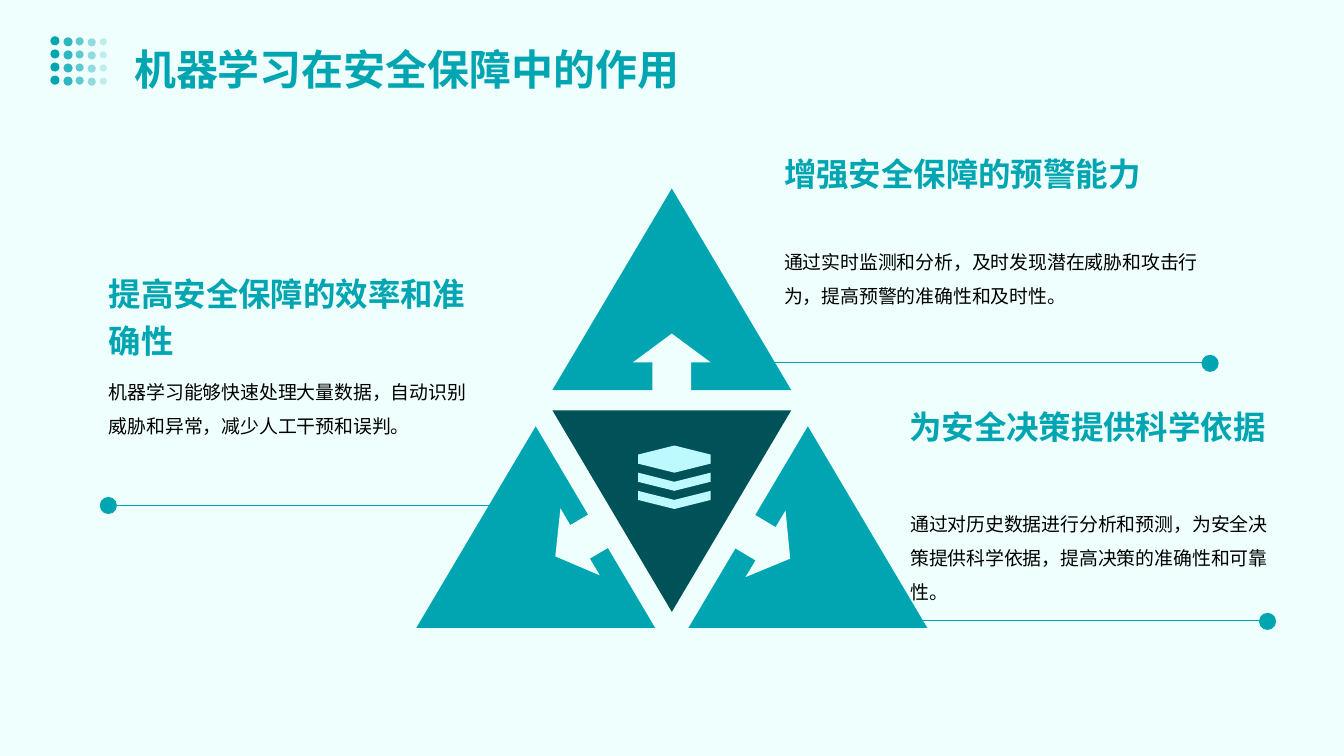
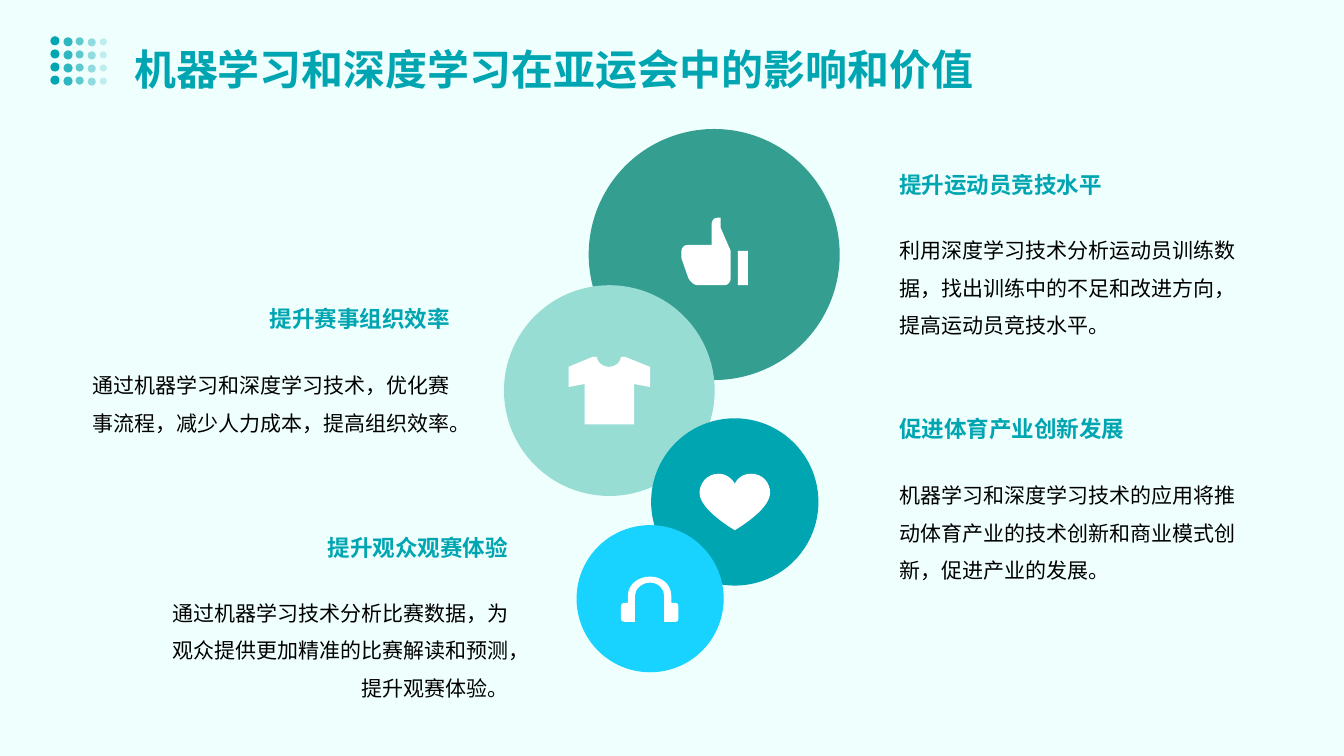
from lxml import etree
from pptx import Presentation
from pptx.dml.color import RGBColor
from pptx.enum import shapes, text
from pptx.oxml import ns
from pptx.util import Pt

PX = 9144
SLIDE_SIZE = (1333.33, 750)
MARGINS = (13, 13, 6, 13)
FONT = "Noto Sans CJK SC"
COLORS = {
    "background": "EFFFFD", "teal": "00A5B2", "dark": "005259", "ice": "BDFAFF",
    "green": "349E91", "mint": "97DDD4", "sky": "18D3FF", "white": "FFFFFF", "black": "000000",
}
STYLES = {
    "title": (30, "teal", True, 1.4),
    "large heading": (23.2, "teal", True, 1.2),
    "small body": (13.5, "black", False, 1.5),
    "heading": (16.1, "teal", True, 1.5),
    "body": (15, "black", False, 1.5),
}
OVAL = shapes.MSO_SHAPE.OVAL
TRIANGLE = shapes.MSO_SHAPE.ISOSCELES_TRIANGLE
ARROW = shapes.MSO_SHAPE.UP_ARROW

DOT_COLUMNS = [(50, 36, 9), (63, 37, 9), (75, 37, 8), (87, 38, 8), (99, 38, 7)]
DOT_ROWS, DOT_STEP = 4, 13

SECURITY_TITLE = "机器学习在安全保障中的作用"
TRIANGLE_SIZE = (237, 200)
TRIANGLES = [(683, 423), (413, 423), (548, 187)]
ARROW_SIZE = (77, 57)
ARROWS = [(628, 331, 0), (721, 511, 121), (537, 509, 239.6)]
CALLOUT_LINES = [
    ((746, 1195, 360), (1192, 352)),
    ((803, 1253, 616), (1249, 608)),
    ((99, 514, 502), (99, 493)),
]
CALLOUT_DOT = 17
SECURITY_POINTS = [
    ("增强安全保障的预警能力", (765, 132, 427, 123),
     "通过实时监测和分析，及时发现潜在威胁和攻击行为，提高预警的准确性和及时性。", (765, 224, 443, 132)),
    ("为安全决策提供科学依据", (889, 383, 381, 123),
     "通过对历史数据进行分析和预测，为安全决策提供科学依据，提高决策的准确性和可靠性。", (890, 484, 381, 132)),
    ("提高安全保障的效率和准确性", (95, 251, 381, 123),
     "机器学习能够快速处理大量数据，自动识别威胁和异常，减少人工干预和误判。", (95, 353, 381, 132)),
]
LAYERS = [
    [(633, y), (669, y + 9), (705, y), (705, y + 9), (669, y + 18), (633, y + 9)] for y in (487, 469)
] + [[(633, 451), (669, 442), (705, 451), (705, 460), (669, 469), (633, 460)]]

IMPACT_TITLE = "机器学习和深度学习在亚运会中的影响和价值"
THUMB = [
    [(712, 216), (715, 216), (715, 226), (725, 249), (725, 276), (725, 280, 722, 283, 719, 283),
     (692, 283), (689, 283, 685, 280, 683, 276), (676, 256), (676, 249),
     (676, 246, 679, 243, 682, 243), (706, 243), (706, 223), (706, 219, 708, 216, 712, 216)],
    [(732, 249), (742, 249), (742, 283), (732, 283)],
]
SHIRT = [
    [(592, 354), (588, 354), (564, 364), (564, 384), (580, 381), (580, 421), (629, 421), (629, 381),
     (645, 384), (645, 364), (620, 354), (616, 354), (616, 359, 611, 364, 604, 364),
     (598, 364, 592, 359, 592, 354)],
]
HEART = [
    [(729, 480), (729, 480, 724, 470, 713, 470), (701, 470, 694, 480, 694, 489),
     (694, 506, 729, 526, 729, 526), (729, 526, 764, 506, 764, 489),
     (764, 479, 757, 470, 745, 470), (733, 470, 729, 480, 729, 480)],
]
HEADPHONES = [
    [(670, 598), (666, 598), (666, 591), (666, 580, 657, 572, 645, 572), (633, 572, 623, 580, 623, 591),
     (623, 598), (620, 598), (618, 598, 616, 599, 616, 601), (616, 614),
     (616, 616, 618, 617, 620, 617), (630, 617), (630, 591), (630, 584, 637, 578, 645, 578),
     (653, 578, 659, 584, 659, 591), (659, 617), (670, 617), (672, 617, 673, 616, 673, 614),
     (673, 601), (673, 599, 672, 598, 670, 598)],
]
CIRCLES = [
    (584, 128, 249, "green", THUMB),
    (500, 283, 209, "mint", SHIRT),
    (646, 415, 166, "teal", HEART),
    (572, 521, 146, "sky", HEADPHONES),
]
IMPACT_POINTS = [
    ("提升运动员竞技水平", (879, 143, 442, 80),
     "利用深度学习技术分析运动员训练数据，找出训练中的不足和改进方向，提高运动员竞技水平。", (879, 210, 361, 147), False),
    ("促进体育产业创新发展", (879, 385, 432, 80),
     "机器学习和深度学习技术的应用将推动体育产业的技术创新和商业模式创新，促进产业的发展。", (879, 453, 361, 147), False),
    ("提升观众观赛体验", (106, 503, 404, 80),
     "通过机器学习技术分析比赛数据，为观众提供更加精准的比赛解读和预测，提升观赛体验。", (149, 570, 361, 147), True),
    ("提升赛事组织效率", (43, 276, 409, 80),
     "通过机器学习和深度学习技术，优化赛事流程，减少人力成本，提高组织效率。", (75, 344, 377, 147), True),
]


def emu(*lengths):
    return [round(length * PX) for length in lengths]


def rgb(color):
    return RGBColor.from_string(COLORS[color])


def paint(shape, color, opacity=100):
    shape.shadow.inherit = False
    shape.fill.solid()
    shape.fill.fore_color.rgb = rgb(color)
    shape.line.fill.background()
    if opacity < 100:
        value = shape._element.spPr.find(".//" + ns.qn("a:srgbClr"))
        etree.SubElement(value, ns.qn("a:alpha"), val=str(opacity * 1000))


def add_preset(slide, kind, box, color, rotation=0, opacity=100):
    shape = slide.shapes.add_shape(kind, *emu(*box))
    shape.rotation = rotation
    paint(shape, color, opacity)


def bend(segment, values, left, top):
    segment.tag = ns.qn("a:cubicBezTo")
    for point in list(segment):
        segment.remove(point)
    for x, y in zip(values[::2], values[1::2]):
        etree.SubElement(segment, ns.qn("a:pt"), x=str(x - left), y=str(y - top))


def add_icon(slide, outlines, color):
    contours = [[emu(*values) for values in outline] for outline in outlines]
    builder = slide.shapes.build_freeform(*contours[0][0], scale=1.0)
    for index, contour in enumerate(contours):
        if index:
            builder.move_to(*contour[0])
        builder.add_line_segments([values[-2:] for values in contour[1:]], close=True)
    shape = builder.convert_to_shape()
    segments = list(shape._element.iter(ns.qn("a:moveTo"), ns.qn("a:lnTo")))
    drawn = [values for contour in contours for values in contour]
    if len(segments) > len(drawn):
        drawn = [values for contour in contours for values in contour + [contour[0]]]
    for segment, values in zip(segments, drawn):
        if len(values) == 6:
            bend(segment, values, shape.left, shape.top)
    paint(shape, color)


def add_line(slide, left, right, y):
    line = slide.shapes.add_connector(shapes.MSO_CONNECTOR.STRAIGHT, *emu(left, y, right, y))
    line.line.color.rgb = rgb("teal")
    line.line.width = Pt(0.75)
    etree.SubElement(line._element.spPr, ns.qn("a:effectLst"))


def add_text(slide, content, box, style, right=False):
    size, color, bold, spacing = STYLES[style]
    frame = slide.shapes.add_textbox(*emu(*box)).text_frame
    frame.word_wrap = True
    frame.auto_size = text.MSO_AUTO_SIZE.SHAPE_TO_FIT_TEXT
    frame.margin_left, frame.margin_top, frame.margin_right, frame.margin_bottom = emu(*MARGINS)
    paragraph = frame.paragraphs[0]
    paragraph.text = content
    paragraph.line_spacing = spacing
    paragraph.alignment = text.PP_ALIGN.RIGHT if right else text.PP_ALIGN.LEFT
    font = paragraph.font
    font.size, font.bold, font.name = Pt(size), bold, FONT
    font.color.rgb = rgb(color)
    properties = paragraph._p.find(".//" + ns.qn("a:defRPr"))
    etree.SubElement(properties, ns.qn("a:ea"), typeface=FONT)


def add_slide(presentation):
    return presentation.slides.add_slide(presentation.slide_layouts[6])


def add_header(slide, title):
    for row in range(DOT_ROWS):
        for column, (left, top, size) in enumerate(DOT_COLUMNS):
            box = (left, top + row * DOT_STEP, size, size)
            add_preset(slide, OVAL, box, "teal", opacity=100 - 20 * column)
    add_text(slide, title, (120, 10, 1094, 100), "title")


def build_security(presentation):
    slide = add_slide(presentation)
    add_preset(slide, TRIANGLE, (548, 407, 237, 200), "dark", rotation=180)
    for corner in TRIANGLES:
        add_preset(slide, TRIANGLE, corner + TRIANGLE_SIZE, "teal")
    for left, top, rotation in ARROWS:
        add_preset(slide, ARROW, (left, top) + ARROW_SIZE, "background", rotation)
    for line, dot in CALLOUT_LINES:
        add_line(slide, *line)
        add_preset(slide, OVAL, dot + (CALLOUT_DOT, CALLOUT_DOT), "teal")
    for heading, heading_box, body, body_box in SECURITY_POINTS:
        add_text(slide, heading, heading_box, "large heading")
        add_text(slide, body, body_box, "small body")
    add_icon(slide, LAYERS, "ice")
    add_header(slide, SECURITY_TITLE)


def build_impact(presentation):
    slide = add_slide(presentation)
    for left, top, size, color, icon in CIRCLES:
        add_preset(slide, OVAL, (left, top, size, size), color)
        add_icon(slide, icon, "white")
    for heading, heading_box, body, body_box, right in IMPACT_POINTS:
        add_text(slide, heading, heading_box, "heading", right)
        add_text(slide, body, body_box, "body", right)
    add_header(slide, IMPACT_TITLE)


def main():
    presentation = Presentation()
    presentation.slide_width, presentation.slide_height = emu(*SLIDE_SIZE)
    background = presentation.slide_master.background.fill
    background.solid()
    background.fore_color.rgb = rgb("background")
    build_security(presentation)
    build_impact(presentation)
    presentation.save("out.pptx")


if __name__ == "__main__":
    main()
